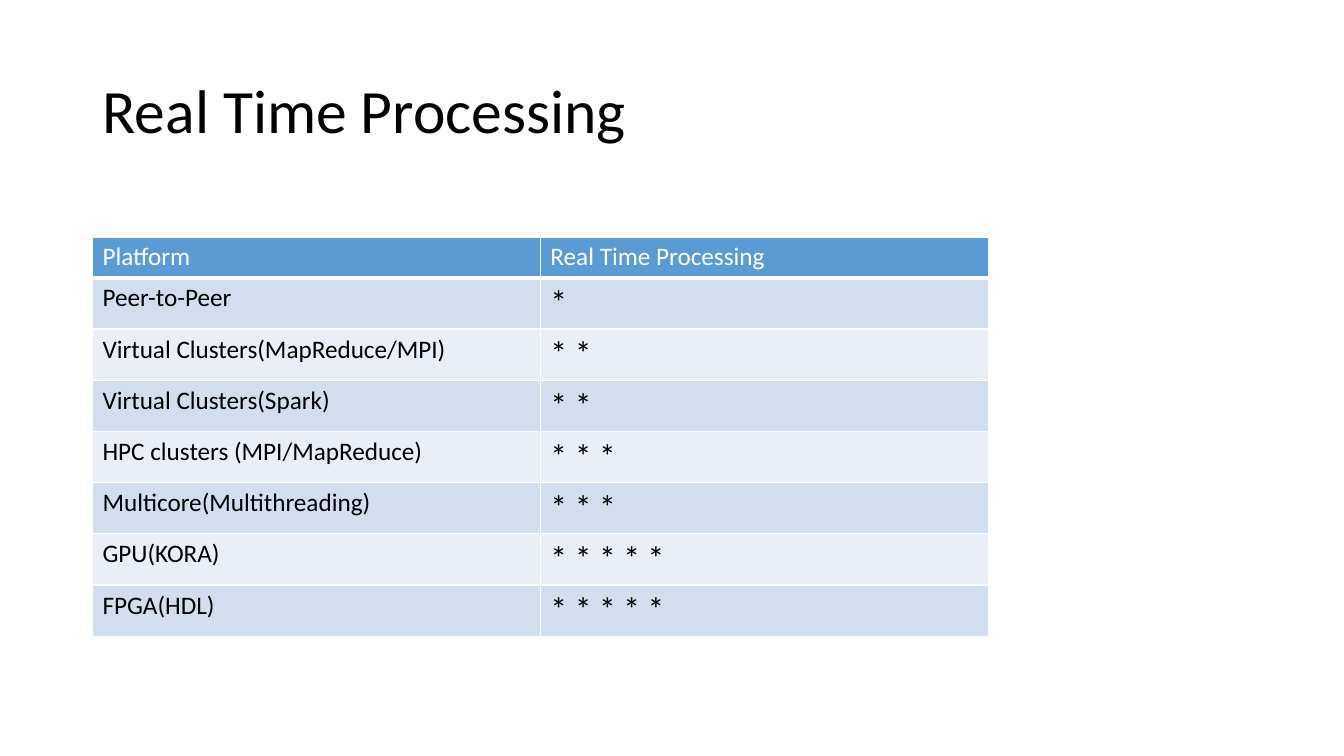
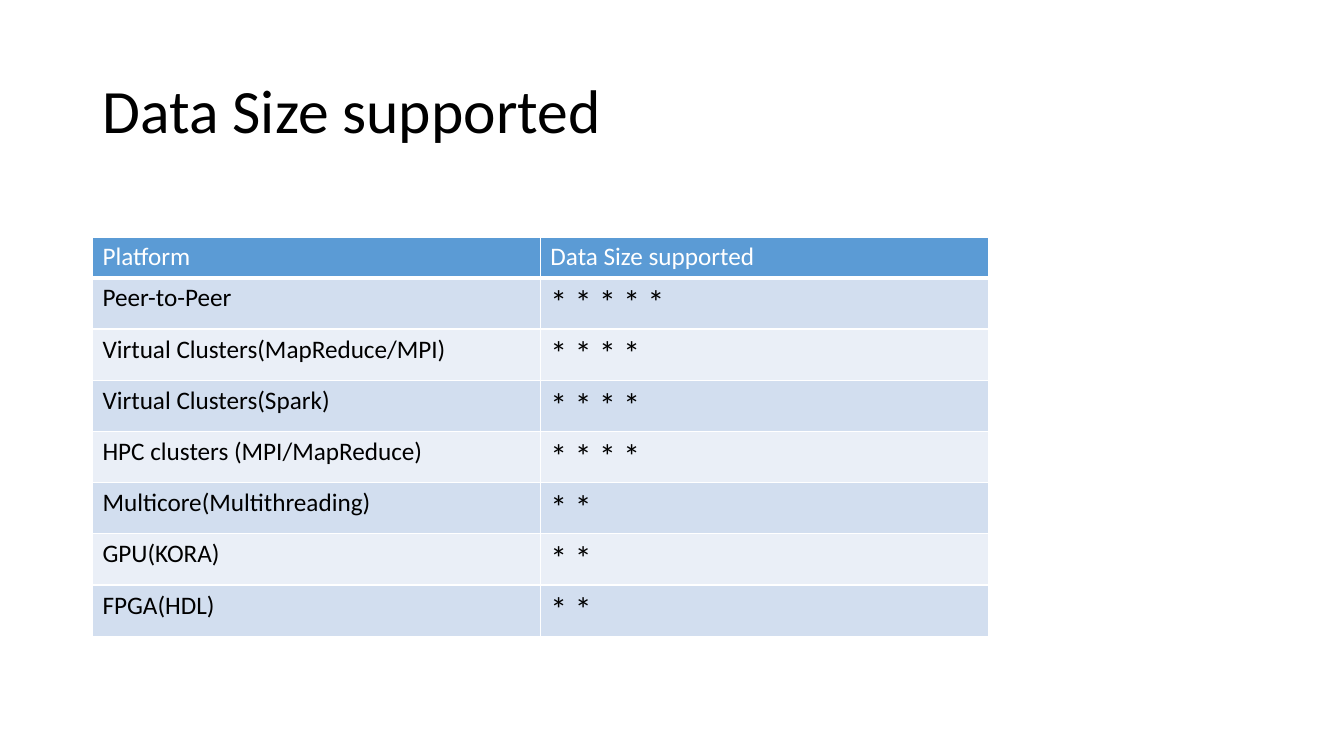
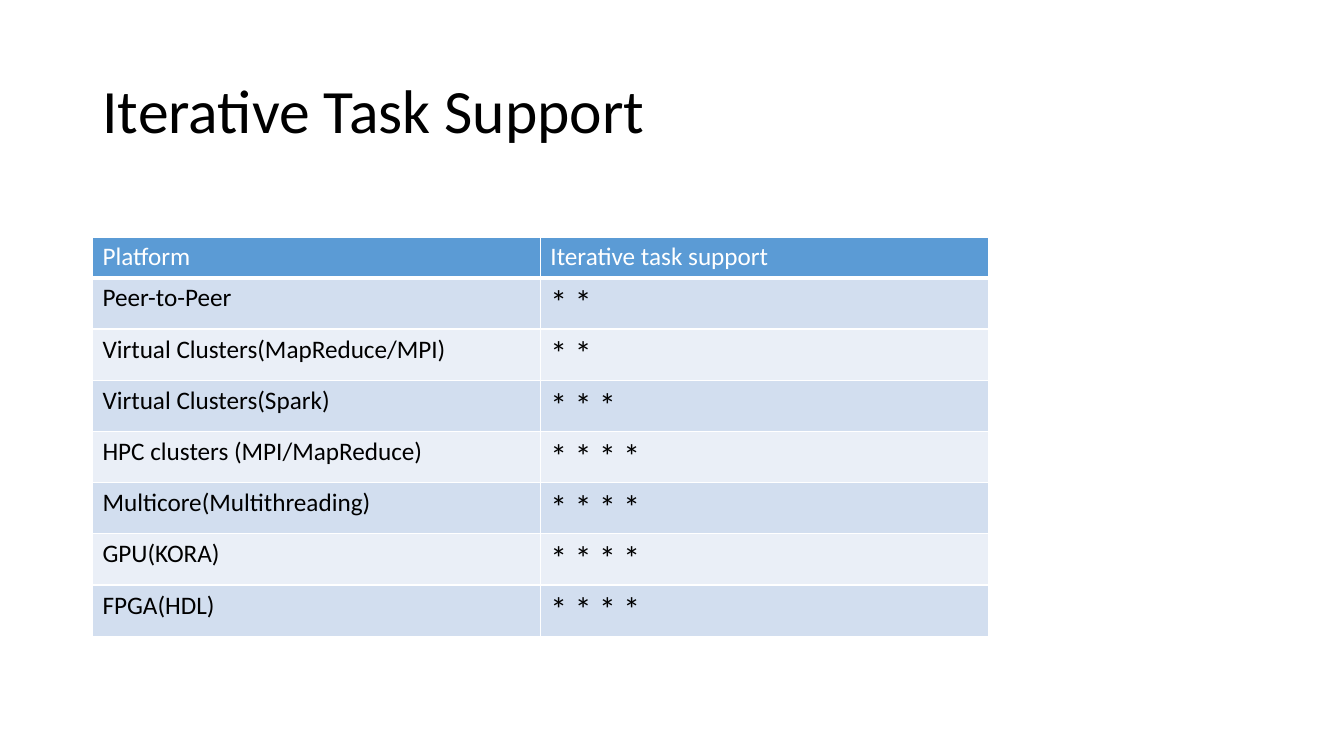
import lxml.etree
import pptx
import pptx.dml.color
import pptx.enum.text
import pptx.oxml.ns
import pptx.util
from pptx.dml.color import RGBColor
from pptx.util import Cm, Pt

# Shared style
FONT = "Calibri"
BLACK = RGBColor(0x00, 0x00, 0x00)
WHITE = RGBColor(0xFF, 0xFF, 0xFF)
HEADER_BLUE = RGBColor(0x5B, 0x9B, 0xD5)
BANDS = (RGBColor(0xD2, 0xDE, 0xEF), RGBColor(0xEA, 0xEF, 0xF7))
TITLE_ONLY = 5

# Content
PLATFORMS = (
    "Peer-to-Peer",
    "Virtual Clusters(MapReduce/MPI)",
    "Virtual Clusters(Spark)",
    "HPC clusters (MPI/MapReduce)",
    "Multicore(Multithreading)",
    "GPU(KORA)",
    "FPGA(HDL)",
)
# Slide title, rating column heading, stars for each platform
RATINGS = (
    ("Real Time Processing", "Real Time Processing", (1, 2, 2, 3, 3, 5, 5)),
    ("Data Size supported", "Data Size supported", (5, 4, 4, 4, 2, 2, 2)),
    ("Iterative Task Support", "Iterative task support", (2, 2, 3, 4, 4, 4, 4)),
)


class RatingDeck:
    """Holds the presentation style and the current page."""

    def __init__(self):
        self.deck = pptx.Presentation()
        self.deck.slide_width = Cm(33.87)
        self.deck.slide_height = Cm(19.05)
        self.page = None

    def add_page(self, title):
        layout = self.deck.slide_layouts[TITLE_ONLY]
        self.page = self.deck.slides.add_slide(layout)
        box = self.page.shapes.title
        box.left, box.top = Cm(2.33), Cm(1.01)
        box.width, box.height = Cm(29.21), Cm(3.68)
        box.text_frame.vertical_anchor = pptx.enum.text.MSO_ANCHOR.MIDDLE
        box.text_frame.text = title
        para = box.text_frame.paragraphs[0]
        para.alignment = pptx.enum.text.PP_ALIGN.LEFT
        para.line_spacing = 0.9
        self.style_font(para, 44, BLACK)

    def style_font(self, para, size, color):
        para.font.name = FONT
        para.font.size = Pt(size)
        para.font.bold = False
        para.font.color.rgb = color

    def add_borders(self, cell, bottom):
        properties = cell._tc.get_or_add_tcPr()
        for tag, points in (("lnL", 1), ("lnR", 1), ("lnT", 1), ("lnB", bottom)):
            line = lxml.etree.SubElement(
                properties, pptx.oxml.ns.qn("a:" + tag), w=str(Pt(points)))
            fill = lxml.etree.SubElement(line, pptx.oxml.ns.qn("a:solidFill"))
            lxml.etree.SubElement(
                fill, pptx.oxml.ns.qn("a:srgbClr"), val=str(WHITE))

    def fill_cell(self, cell, text, size, color, fill, bottom=1):
        self.add_borders(cell, bottom)
        cell.fill.solid()
        cell.fill.fore_color.rgb = fill
        cell.text = text
        self.style_font(cell.text_frame.paragraphs[0], size, color)

    def add_rating_table(self, heading, stars):
        header_height, row_height, column_width = Cm(1.03), Cm(1.29), Cm(11.29)
        table = self.page.shapes.add_table(
            len(PLATFORMS) + 1, 2, Cm(2.33), Cm(5.97), 2 * column_width,
            header_height + len(PLATFORMS) * row_height).table
        for column in table.columns:
            column.width = column_width

        # Header row
        table.rows[0].height = header_height
        for index, label in enumerate(("Platform", heading)):
            self.fill_cell(table.cell(0, index), label, 18, WHITE,
                           HEADER_BLUE, bottom=3)

        # One banded row per platform
        for index, (platform, count) in enumerate(zip(PLATFORMS, stars)):
            row = index + 1
            band = BANDS[index % 2]
            table.rows[row].height = row_height
            self.fill_cell(table.cell(row, 0), platform, 18, BLACK, band)
            self.fill_cell(table.cell(row, 1), " ".join("*" * count), 24,
                           BLACK, band)


# Build the slides
builder = RatingDeck()
for title, heading, stars in RATINGS:
    builder.add_page(title)
    builder.add_rating_table(heading, stars)
builder.deck.save("out.pptx")
